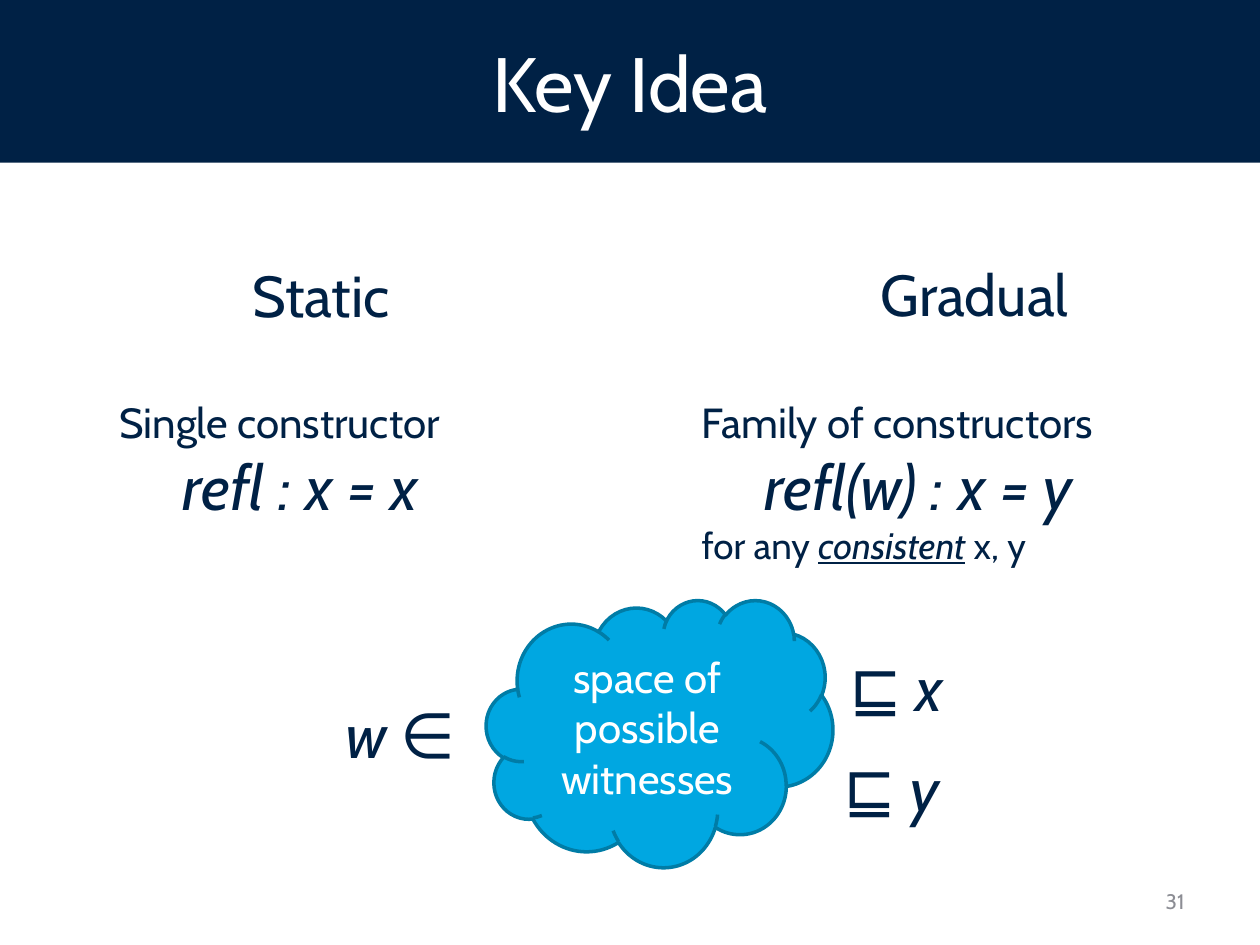
from pptx import Presentation
from pptx.dml.color import RGBColor
from pptx.enum.shapes import MSO_SHAPE
from pptx.enum.text import MSO_ANCHOR, PP_ALIGN
from pptx.util import Inches, Pt

NAVY = RGBColor(0x00, 0x21, 0x45)
WHITE = RGBColor(0xFF, 0xFF, 0xFF)
GRAY = RGBColor(0x8C, 0x8D, 0x94)
SKY = RGBColor(0x00, 0xA7, 0xE1)
TEAL = RGBColor(0x00, 0x7C, 0xA6)
FONT = "Cabin"

TITLE = "Key Idea"
PAGE_NUMBER = "31"
CLOUD_TEXT = "space of possible witnesses"
HEADINGS = [
    ("Static", (1.62, 1.79, 1.86, 1.09)),
    ("Gradual", (6.72, 1.78, 2.03, 1.09)),
]
CONSTRUCTORS = [
    ((0.85, 3.1, 3.87, 1.11), [
        (0, 24, [("Single constructor", "")]),
        (0.5, 36, [("refl : x = x", "i")]),
    ]),
    ((5.47, 3.1, 4.09, 2.07), [
        (0, 24, [("Family of constructors", "")]),
        (0.5, 36, [("refl(w) : x = y", "i")]),
        (0, 21, [("for any ", ""), ("consistent", "iu"), (" x, y", "")]),
    ]),
]
RELATIONS = [
    ((2.64, 5.47, 1.3, 0.71), [("w ", "i"), ("∈", "")]),
    ((6.64, 5.1, 1.3, 0.71), [("⊑", ""), (" x", "i")]),
    ((6.6, 5.9, 1.3, 0.71), [("⊑", ""), (" y", "i")]),
]


def inches(place):
    return [Inches(value) for value in place]


def style_font(span, size, color, style=""):
    span.font.name = FONT
    span.font.size = Pt(size)
    span.font.color.rgb = color
    span.font.italic = "i" in style
    span.font.underline = "u" in style


def write_line(shape, text, size, color, align):
    frame = shape.text_frame
    frame.word_wrap = True
    frame.vertical_anchor = MSO_ANCHOR.MIDDLE
    frame.text = text
    para = frame.paragraphs[0]
    para.alignment = align
    style_font(para.runs[0], size, color)


def add_rich_text(page, place, lines):
    frame = page.shapes.add_textbox(*inches(place)).text_frame
    frame.word_wrap = True
    for index, (indent, size, spans) in enumerate(lines):
        para = frame.add_paragraph() if index else frame.paragraphs[0]
        if indent:
            properties = para._p.get_or_add_pPr()
            properties.set("marL", str(Inches(indent)))
            properties.set("indent", "0")
        for text, style in spans:
            span = para.add_run()
            span.text = text
            style_font(span, size, NAVY, style)


def main():
    deck = Presentation()
    deck.slide_width, deck.slide_height = Inches(10), Inches(7.5)
    page = deck.slides.add_slide(deck.slide_layouts[5])

    title = page.shapes.title
    title.left, title.top, title.width, title.height = inches((0, 0, 10, 1.29))
    title.fill.solid()
    title.fill.fore_color.rgb = NAVY
    write_line(title, TITLE, 44, WHITE, PP_ALIGN.CENTER)

    number = page.shapes.add_textbox(*inches((7.17, 6.95, 2.33, 0.4)))
    write_line(number, PAGE_NUMBER, 12, GRAY, PP_ALIGN.RIGHT)

    for text, place in HEADINGS:
        heading = page.shapes.add_textbox(*inches(place))
        write_line(heading, text, 33, NAVY, PP_ALIGN.CENTER)

    for place, lines in CONSTRUCTORS:
        add_rich_text(page, place, lines)

    cloud = page.shapes.add_shape(MSO_SHAPE.CLOUD, *inches((3.86, 4.76, 2.75, 2.12)))
    cloud.shadow.inherit = False
    cloud.fill.solid()
    cloud.fill.fore_color.rgb = SKY
    cloud.line.color.rgb = TEAL
    cloud.line.width = Pt(2)
    write_line(cloud, CLOUD_TEXT, 24, WHITE, PP_ALIGN.CENTER)

    for place, spans in RELATIONS:
        add_rich_text(page, place, [(0, 36, spans)])

    deck.save("out.pptx")


if __name__ == "__main__":
    main()
